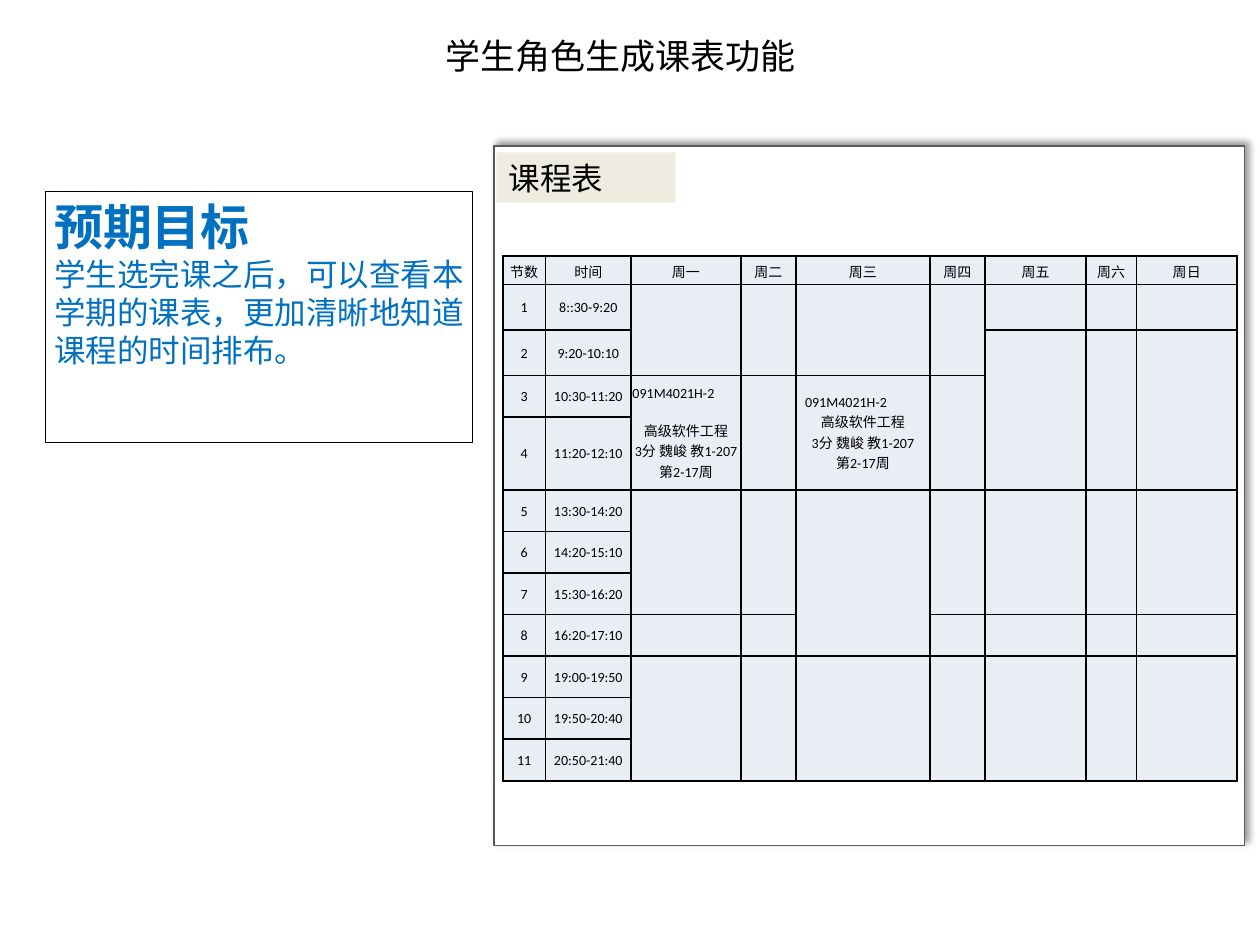
"""Build the slide that shows a student's generated course timetable."""
from dataclasses import dataclass

from lxml import etree
from pptx import Presentation
from pptx.dml.color import RGBColor
from pptx.enum.shapes import MSO_SHAPE
from pptx.enum.text import MSO_ANCHOR, PP_ALIGN
from pptx.oxml import parse_xml
from pptx.oxml.ns import nsdecls, qn
from pptx.util import Inches, Pt

RECTANGLE = MSO_SHAPE.RECTANGLE
LEFT, CENTER = PP_ALIGN.LEFT, PP_ALIGN.CENTER
TOP, MIDDLE = MSO_ANCHOR.TOP, MSO_ANCHOR.MIDDLE
TITLE_ONLY = 5
GRID_COLUMNS, GRID_ROWS = 100, 75


@dataclass(frozen=True)
class Theme:
    """Colours, fonts and type sizes of the slide."""
    ink: str = "000000"
    accent: str = "0070C0"
    paper: str = "FFFFFF"
    frame: str = "595959"
    label: str = "EEECE1"
    cell: str = "E9EDF4"
    heading_font: str = "Arial"
    body_font: str = "Calibri"
    title_size: int = 20
    heading_size: int = 28
    body_size: int = 18
    table_size: int = 8
    outline: float = 0.75
    border: float = 1


class SlideBuilder:
    """Place styled elements on a slide by grid columns and rows."""

    def __init__(self, presentation, theme):
        """Add a title-only slide and keep its grid unit."""
        self.theme = theme
        self.slide = presentation.slides.add_slide(presentation.slide_layouts[TITLE_ONLY])
        self.column = presentation.slide_width / GRID_COLUMNS
        self.row = presentation.slide_height / GRID_ROWS

    def box(self, left, top, width, height):
        """Turn grid units into slide lengths."""
        return (int(left * self.column), int(top * self.row),
                int(width * self.column), int(height * self.row))

    def format(self, paragraph, size, color, font, bold=False, align=LEFT):
        """Style every run of a paragraph."""
        paragraph.alignment = align
        for run in paragraph.runs:
            run.font.size, run.font.bold, run.font.name = Pt(size), bold, font
            run.font.color.rgb = RGBColor.from_string(color)

    def margins(self, target, left, top, right, bottom):
        """Set the inner margins of a text frame or cell in inches."""
        target.margin_left, target.margin_top = Inches(left), Inches(top)
        target.margin_right, target.margin_bottom = Inches(right), Inches(bottom)

    def title(self, text, area):
        """Fill and move the title placeholder."""
        title = self.slide.shapes.title
        title.left, title.top, title.width, title.height = self.box(*area)
        frame = title.text_frame
        frame.text = text
        frame.word_wrap = False
        frame.vertical_anchor = MIDDLE
        self.margins(frame, 0, 0, 0, 0)
        self.format(frame.paragraphs[0], self.theme.title_size, self.theme.ink,
                    self.theme.heading_font, align=CENTER)

    def rectangle(self, area, fill=None, line=None):
        """Add a plain rectangle and return it."""
        shape = self.slide.shapes.add_shape(RECTANGLE, *self.box(*area))
        shape.shadow.inherit = False
        if fill:
            shape.fill.solid()
            shape.fill.fore_color.rgb = RGBColor.from_string(fill)
        else:
            shape.fill.background()
        if line:
            shape.line.color.rgb = RGBColor.from_string(line)
            shape.line.width = Pt(self.theme.outline)
        else:
            shape.line.fill.background()
        shape.text_frame.word_wrap = True
        shape.text_frame.vertical_anchor = TOP
        return shape

    def goal(self, heading, body, area):
        """Add the outlined box with a heading and a sentence."""
        theme = self.theme
        frame = self.rectangle(area, line=theme.ink).text_frame
        self.margins(frame, 0.07, 0.04, 0.07, 0.04)
        frame.text = f"{heading}\n{body}"
        first, second = frame.paragraphs
        self.format(first, theme.heading_size, theme.accent, theme.heading_font, bold=True)
        self.format(second, theme.body_size, theme.accent, theme.heading_font)

    def panel(self, area):
        """Add the framed sheet with its soft shadow."""
        shape = self.rectangle(area, self.theme.paper, self.theme.frame)
        effects = shape._element.spPr.find(qn("a:effectLst"))
        shadow = etree.SubElement(effects, qn("a:outerShdw"), blurRad=str(Pt(4)),
                                  dist=str(Pt(3)), dir=str(315 * 60000), rotWithShape="0")
        color = etree.SubElement(shadow, qn("a:srgbClr"), val=self.theme.ink)
        etree.SubElement(color, qn("a:alpha"), val="40000")

    def label(self, text, area):
        """Add the tinted caption of the sheet."""
        frame = self.rectangle(area, self.theme.label).text_frame
        frame.text = text
        self.format(frame.paragraphs[0], self.theme.body_size, self.theme.ink,
                    self.theme.body_font)

    def cell(self, cell):
        """Give a table cell its borders, fill and margins."""
        for side in ("lnL", "lnR", "lnT", "lnB"):
            cell._tc.get_or_add_tcPr().append(parse_xml(
                f'<a:{side} {nsdecls("a")} w="{Pt(self.theme.border)}"><a:solidFill>'
                f'<a:srgbClr val="{self.theme.ink}"/></a:solidFill></a:{side}>'))
        cell.fill.solid()
        cell.fill.fore_color.rgb = RGBColor.from_string(self.theme.cell)
        cell.vertical_anchor = MIDDLE
        self.margins(cell, 0.01, 0.01, 0.01, 0)

    def cell_text(self, cell, text):
        """Write centred text into a table cell."""
        cell.text_frame.text = text
        for paragraph in cell.text_frame.paragraphs:
            self.format(paragraph, self.theme.table_size, self.theme.ink,
                        self.theme.body_font, align=CENTER)

    def timetable(self, area, widths, heights, texts, merges):
        """Add the timetable with its merged periods and return it."""
        table = self.slide.shapes.add_table(len(heights), len(widths), *self.box(*area)).table
        for column, width in zip(table.columns, widths):
            column.width = int(width * self.column)
        for row, height in zip(table.rows, heights):
            row.height = int(height * self.row)
        for cell in table.iter_cells():
            self.cell(cell)
        for column, first, last in merges:
            table.cell(first, column).merge(table.cell(last, column))
        for (row, column), text in texts.items():
            self.cell_text(table.cell(row, column), text)
        return table


HEADERS = ["节数", "时间", "周一", "周二", "周三", "周四", "周五", "周六", "周日"]
TIMES = ["8::30-9:20", "9:20-10:10", "10:30-11:20", "11:20-12:10", "13:30-14:20", "14:20-15:10",
         "15:30-16:20", "16:20-17:10", "19:00-19:50", "19:50-20:40", "20:50-21:40"]
COURSE = "091M4021H-2\n高级软件工程\n3分 魏峻 教1-207\n第2-17周"
WIDTHS = [3.4, 6.8, 8.7, 4.4, 10.6, 4.4, 8, 4, 8]
HEIGHTS = [2.3, 3.6, 3.6, 3.3, 5.7] + [3.3] * 7
MONDAY, WEDNESDAY, FRIDAY = 2, 4, 6
COURSE_ROW = 3


def period_merges():
    """List the merged periods as column, first row and last row."""
    merges = []
    for column in range(MONDAY, len(HEADERS)):
        morning = [(1, 2), (3, 4)] if column < FRIDAY else [(2, 4)]
        afternoon = (5, 8) if column == WEDNESDAY else (5, 7)
        merges += [(column, *span) for span in (*morning, afternoon, (9, 11))]
    return merges


def main():
    """Build and save the presentation."""
    presentation = Presentation()
    presentation.slide_width, presentation.slide_height = Inches(10), Inches(7.5)
    builder = SlideBuilder(presentation, Theme())
    builder.title("学生角色生成课表功能", (34.9, 2.7, 28.7, 3.4))
    builder.goal("预期目标", "学生选完课之后，可以查看本学期的课表，更加清晰地知道课程的时间排布。",
                 (3.6, 15.2, 33.9, 19.9))
    builder.panel((39.2, 11.6, 59.6, 55.5))
    builder.label("课程表", (39.4, 12.1, 14.2, 4))
    texts = {(0, column): header for column, header in enumerate(HEADERS)}
    for row, time in enumerate(TIMES, start=1):
        texts[row, 0], texts[row, 1] = str(row), time
    texts[COURSE_ROW, MONDAY] = texts[COURSE_ROW, WEDNESDAY] = COURSE
    table = builder.timetable((39.9, 20.3, 58.2, 41.3), WIDTHS, HEIGHTS, texts, period_merges())
    monday_code = table.cell(COURSE_ROW, MONDAY).text_frame.paragraphs[0]
    monday_code.alignment, monday_code.space_after = LEFT, Pt(10)
    wednesday_code = table.cell(COURSE_ROW, WEDNESDAY).text_frame.paragraphs[0]
    wednesday_code.alignment = LEFT
    wednesday_code._p.get_or_add_pPr().set("marL", str(Inches(0.06)))
    presentation.save("out.pptx")


if __name__ == "__main__":
    main()
